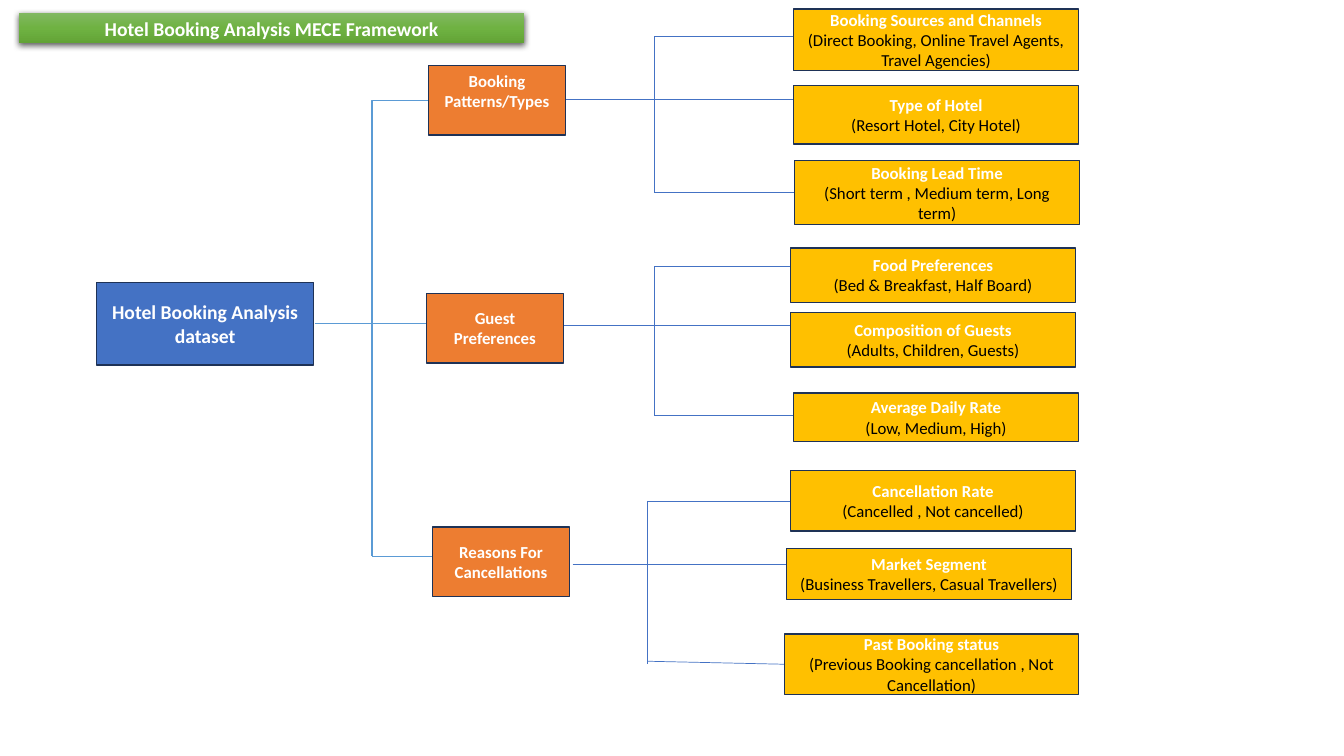
import copy

import pptx
import pptx.dml.color
import pptx.enum.shapes
import pptx.enum.text
import pptx.oxml
import pptx.oxml.ns
import pptx.util

Inches, Pt = pptx.util.Inches, pptx.util.Pt
RGBColor = pptx.dml.color.RGBColor
CONNECTOR = pptx.enum.shapes.MSO_CONNECTOR
ANCHOR = pptx.enum.text.MSO_ANCHOR

WHITE = RGBColor(0xFF, 0xFF, 0xFF)
BLACK = RGBColor(0x00, 0x00, 0x00)
BLUE = RGBColor(0x44, 0x72, 0xC4)
SKY = RGBColor(0x5B, 0x9B, 0xD5)
ORANGE = RGBColor(0xED, 0x7D, 0x31)
GOLD = RGBColor(0xFF, 0xC0, 0x00)
NAVY = RGBColor(0x1E, 0x32, 0x56)
GREENS = [(0, RGBColor(0x81, 0xB8, 0x61)), (0.5, RGBColor(0x6F, 0xB2, 0x42)),
          (1, RGBColor(0x62, 0xA3, 0x36))]

EFFECTS = '<a:effectLst xmlns:a="http://schemas.openxmlformats.org/drawingml/2006/main">%s</a:effectLst>'
SOFT_SHADOW = ('<a:outerShdw blurRad="57150" dist="19050" dir="5400000" algn="ctr" rotWithShape="0">'
               '<a:srgbClr val="000000"><a:alpha val="63000"/></a:srgbClr></a:outerShdw>')


class Diagram:
    """Holds the slide and the style of its elements."""

    font = "Calibri"

    def __init__(self, prs):
        """Add a title-only slide to the presentation."""
        self.s = prs.slides.add_slide(prs.slide_layouts[5])

    def text(self, sp, lines, size, anchor=ANCHOR.MIDDLE):
        """Write centred lines, each a (text, colour, bold) triple."""
        tf = sp.text_frame
        tf.word_wrap = True
        tf.auto_size = pptx.enum.text.MSO_AUTO_SIZE.NONE
        tf.vertical_anchor = anchor
        tf.margin_left = tf.margin_right = Inches(0.1)
        tf.margin_top = tf.margin_bottom = Inches(0.05)
        for i, (words, colour, bold) in enumerate(lines):
            p = tf.add_paragraph() if i else tf.paragraphs[0]
            p.alignment = pptx.enum.text.PP_ALIGN.CENTER
            r = p.add_run()
            r.text = words
            r.font.name, r.font.size, r.font.bold = self.font, Pt(size), bold
            r.font.color.rgb = colour

    def title(self, words, left, top, width, height):
        """Turn the title placeholder into a green banner."""
        sp = self.s.shapes.title
        sp.left, sp.top = Inches(left), Inches(top)
        sp.width, sp.height = Inches(width), Inches(height)
        sp.fill.gradient()
        sp.fill.gradient_angle = 270
        first = sp._element.spPr.find(".//" + pptx.oxml.ns.qn("a:gs"))
        first.addnext(copy.deepcopy(first))
        for stop, (position, colour) in zip(sp.fill.gradient_stops, GREENS):
            stop.position, stop.color.rgb = position, colour
        sp._element.spPr.append(pptx.oxml.parse_xml(EFFECTS % SOFT_SHADOW))
        self.text(sp, [(words, WHITE, True)], 14)

    def box(self, lines, left, top, width, height, fill, size=12, anchor=ANCHOR.MIDDLE):
        """Draw an outlined rectangle with text."""
        sp = self.s.shapes.add_shape(pptx.enum.shapes.MSO_SHAPE.RECTANGLE, Inches(left),
                                     Inches(top), Inches(width), Inches(height))
        sp.shadow.inherit = False
        sp.fill.solid()
        sp.fill.fore_color.rgb = fill
        sp.line.color.rgb, sp.line.width = NAVY, Pt(1)
        self.text(sp, lines, size, anchor)

    def line(self, x1, y1, x2, y2, colour=BLUE, width=0.5, kind=CONNECTOR.STRAIGHT):
        """Draw a connector without a shadow."""
        c = self.s.shapes.add_connector(kind, Inches(x1), Inches(y1), Inches(x2), Inches(y2))
        c.line.color.rgb, c.line.width = colour, Pt(width)
        c._element.spPr.append(pptx.oxml.parse_xml(EFFECTS % ""))

    def branch(self, name, left, top, anchor, stem, spine, leaves):
        """Draw a category, its bracket of lines and its leaf boxes."""
        ys = [leaf[6] for leaf in leaves]
        self.line(stem, ys[1], spine, ys[1])
        self.line(spine, ys[0], spine, ys[2])
        self.box([(name, WHITE, True)], left, top, 1.36, 0.69, ORANGE, anchor=anchor)
        for heading, detail, x, y, width, height, join, *start in leaves:
            self.line(spine, start[0] if start else join, x, join)
            self.box([(heading, WHITE, True), (detail, BLACK, False)],
                     x, y, width, height, GOLD)


# Category: name, left, top, anchor, stem start, spine x, leaves.
# Leaf: heading, detail, left, top, width, height, line y at the box, line y at the spine if it differs.
BRANCHES = [
    ("Booking Patterns/Types", 4.25, 0.65, ANCHOR.TOP, 5.61, 6.49, [
        ("Booking Sources and Channels", "(Direct Booking, Online Travel Agents, Travel Agencies)",
         7.87, 0.09, 2.83, 0.61, 0.36),
        ("Type of Hotel", "(Resort Hotel, City Hotel)", 7.87, 0.85, 2.83, 0.58, 0.99),
        ("Booking Lead Time", "(Short term , Medium term, Long term)",
         7.88, 1.59, 2.83, 0.64, 1.91)]),
    ("Guest Preferences", 4.23, 2.91, ANCHOR.MIDDLE, 5.59, 6.49, [
        ("Food Preferences", "(Bed & Breakfast, Half Board)", 7.84, 2.46, 2.83, 0.54, 2.64),
        ("Composition of Guests", "(Adults, Children, Guests)", 7.84, 3.1, 2.83, 0.54, 3.23),
        ("Average Daily Rate", "(Low, Medium, High)", 7.87, 3.9, 2.83, 0.48, 4.12)]),
    ("Reasons For Cancellations", 4.29, 5.23, ANCHOR.MIDDLE, 5.68, 6.42, [
        ("Cancellation Rate", "(Cancelled , Not cancelled)", 7.84, 4.67, 2.83, 0.6, 4.97),
        ("Market Segment", "(Business Travellers, Casual Travellers)",
         7.8, 5.44, 2.83, 0.51, 5.6),
        ("Past Booking status", "(Previous Booking cancellation , Not Cancellation)",
         7.78, 6.29, 2.92, 0.6, 6.59, 6.56)]),
]

prs = pptx.Presentation()
prs.slide_width, prs.slide_height = Inches(13.33), Inches(7.5)
d = Diagram(prs)
d.title("Hotel Booking Analysis MECE Framework", 0.19, 0.13, 5.01, 0.3)

d.line(3.12, 3.21, 4.26, 1, SKY, 1, CONNECTOR.ELBOW)
for ends in [(3.69, 3.21, 4.25, 3.21), (3.69, 3.21, 3.69, 5.52), (3.69, 5.52, 4.39, 5.52)]:
    d.line(*ends, SKY, 1)
d.box([("Hotel Booking Analysis dataset", WHITE, True)], 0.96, 2.8, 2.15, 0.82, BLUE, size=14)
for branch in BRANCHES:
    d.branch(*branch)

prs.save("out.pptx")
